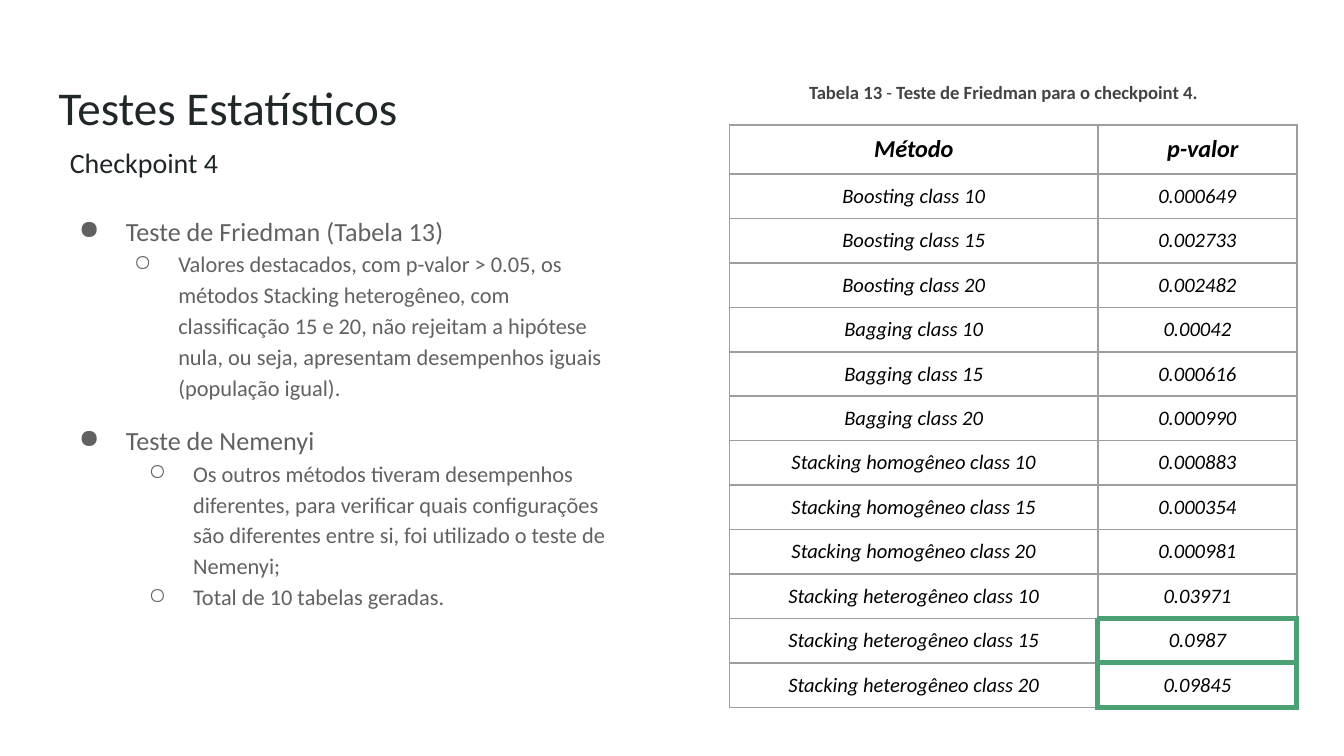
"""Build the slide on the Friedman test for checkpoint 4."""
from dataclasses import dataclass

from lxml import etree
from pptx import Presentation
from pptx.dml.color import RGBColor
from pptx.enum.text import MSO_ANCHOR, PP_ALIGN
from pptx.oxml.ns import qn
from pptx.slide import Slide
from pptx.table import _Cell
from pptx.text.text import _Paragraph
from pptx.util import Cm, Pt

CENTER, LEFT = PP_ALIGN.CENTER, PP_ALIGN.LEFT
TOP = MSO_ANCHOR.TOP
FACE = "Calibri"
INK = {"title": "202729", "body": "616161", "note": "434343",
       "cell": "000000", "grid": "9E9E9E", "mark": "4BA173"}


@dataclass
class Line:
    """A paragraph; its words alternate between bold and plain if mixed."""
    words: tuple[str, ...]
    size: float
    ink: str
    align: PP_ALIGN = LEFT
    space: float = 1.0
    before: float = 0
    level: int = 0
    bullet: str = ""
    indent: float = 0
    hang: float = 0
    bold: bool = False
    slant: bool = False


@dataclass
class Box:
    """A text box with its place in centimetres."""
    left: float
    top: float
    width: float
    height: float
    lines: list[Line]


def point(text: str, before: float = 0) -> Line:
    """Return a main bullet."""
    return Line((text,), 14, "body", space=1.15, before=before,
                bullet="●", indent=1.27, hang=0.89)


def detail(text: str, indent: float) -> Line:
    """Return a second-level bullet."""
    return Line((text,), 12, "body", space=1.15, level=1,
                bullet="○", indent=indent, hang=0.84)


BOXES = [
    Box(0.86, 1.24, 23.67, 1.6, [Line(("Testes Estatísticos",), 25.2, "title")]),
    Box(13.41, 1.35, 11.1, 1.02, [
        Line(("Tabela 13", " - ", "Teste de Friedman para o checkpoint 4."),
             10, "note", CENTER, 0.95, bold=True)]),
    Box(0.86, 3.73, 11.1, 9.5, [
        point("Teste de Friedman (Tabela 13)"),
        detail("Valores destacados, com p-valor > 0.05, os métodos Stacking "
               "heterogêneo, com classificação 15 e 20, não rejeitam a hipótese "
               "nula, ou seja, apresentam desempenhos iguais (população igual).", 2.26),
        point("Teste de Nemenyi", 10),
        detail("Os outros métodos tiveram desempenhos diferentes, para verificar "
               "quais configurações são diferentes entre si, foi utilizado o teste "
               "de Nemenyi;", 2.54),
        detail("Total de 10 tabelas geradas.", 2.54)]),
    Box(1.07, 2.51, 8.99, 1.6, [Line(("Checkpoint 4",), 15, "title")]),
]

GROUPS = {
    "Boosting": ("0.000649", "0.002733", "0.002482"),
    "Bagging": ("0.00042", "0.000616", "0.000990"),
    "Stacking homogêneo": ("0.000883", "0.000354", "0.000981"),
    "Stacking heterogêneo": ("0.03971", "0.0987", "0.09845"),
}
ROWS = [("Método", "p-valor")] + [
    (f"{name} class {size}", value)
    for name, values in GROUPS.items()
    for size, value in zip((10, 15, 20), values)]
MARKED = {(row, 1) for row, (_, value) in enumerate(ROWS)
          if row and float(value) > 0.05}
SIDES = {"a:lnL": (0, -1), "a:lnR": (0, 1), "a:lnT": (-1, 0), "a:lnB": (1, 0)}


def write(para: _Paragraph, line: Line) -> None:
    """Fill and style one paragraph."""
    para.alignment = line.align
    para.line_spacing = line.space
    para.space_before = Pt(line.before)
    para.level = line.level
    if line.bullet:
        props = para._p.get_or_add_pPr()
        props.set("marL", str(Cm(line.indent)))
        props.set("indent", str(-Cm(line.hang)))
        shade = etree.SubElement(props, qn("a:buClr"))
        etree.SubElement(shade, qn("a:srgbClr"), val=INK[line.ink])
        etree.SubElement(props, qn("a:buChar"), char=line.bullet)
    for word in line.words:
        para.add_run().text = word
    for font in (para.font, *(run.font for run in para.runs)):
        font.name = FACE
        font.size = Pt(line.size)
        font.bold = line.bold
        font.italic = line.slant
        font.color.rgb = RGBColor.from_string(INK[line.ink])
    for run in para.runs[1::2]:
        run.font.bold = False


def draw_box(slide: Slide, box: Box) -> None:
    """Draw one text box."""
    place = map(Cm, (box.left, box.top, box.width, box.height))
    frame = slide.shapes.add_textbox(*place).text_frame
    frame.word_wrap = True
    frame.vertical_anchor = TOP
    frame.margin_left = frame.margin_right = Cm(0.25)
    frame.margin_top = frame.margin_bottom = Cm(0.25)
    for index, line in enumerate(box.lines):
        write(frame.add_paragraph() if index else frame.paragraphs[0], line)


def edge(cell: _Cell, row: int, col: int) -> None:
    """Draw the borders of a cell, thick where they meet a marked one."""
    props = cell._tc.get_or_add_tcPr()
    for tag, (down, over) in SIDES.items():
        mark = bool({(row, col), (row + down, col + over)} & MARKED)
        side = etree.SubElement(props, qn(tag), w=str(Pt(3 if mark else 1)))
        fill = etree.SubElement(side, qn("a:solidFill"))
        etree.SubElement(fill, qn("a:srgbClr"), val=INK["mark" if mark else "grid"])


def draw_table(slide: Slide) -> None:
    """Draw the table of p-values."""
    widths, head, step = (6.96, 3.76), 0.93, 0.83
    height = head + step * (len(ROWS) - 1)
    table = slide.shapes.add_table(
        len(ROWS), len(widths), Cm(13.79), Cm(2.36),
        Cm(sum(widths)), Cm(height)).table
    table.first_row = table.horz_banding = False
    for col, width in enumerate(widths):
        table.columns[col].width = Cm(width)
    for row, texts in enumerate(ROWS):
        table.rows[row].height = Cm(step if row else head)
        for col, text in enumerate(texts):
            cell = table.cell(row, col)
            cell.margin_left = cell.margin_right = Cm(0.18)
            cell.margin_top = cell.margin_bottom = Cm(0.18)
            edge(cell, row, col)
            cell.fill.background()
            write(cell.text_frame.paragraphs[0],
                  Line((text,), 11 if row else 13, "cell", CENTER,
                       bold=not row, slant=True))
    table.cell(0, 1).margin_left = Cm(0.38)


def main() -> None:
    """Build and save the deck."""
    deck = Presentation()
    deck.slide_width, deck.slide_height = Cm(25.4), Cm(14.29)
    slide = deck.slides.add_slide(deck.slide_layouts[6])
    draw_table(slide)
    for box in BOXES:
        draw_box(slide, box)
    deck.save("out.pptx")


if __name__ == "__main__":
    main()
